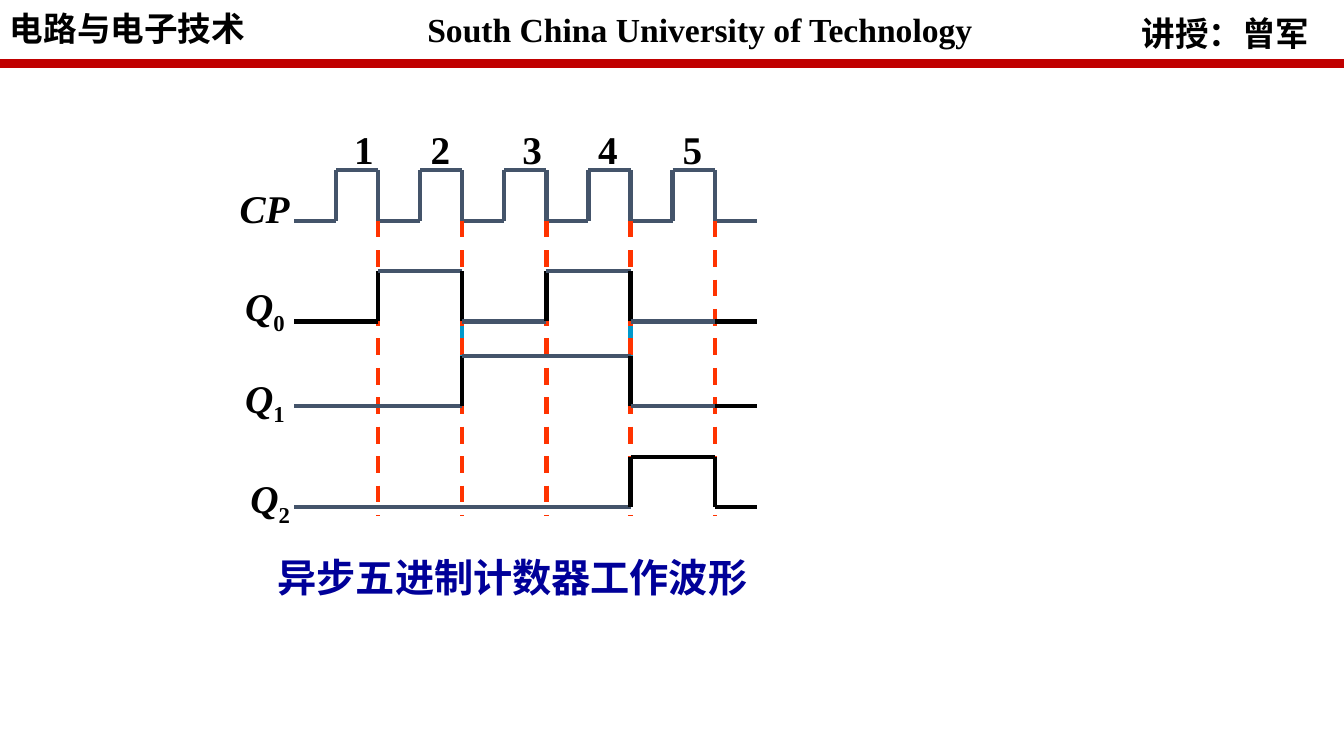
from dataclasses import dataclass

from lxml import etree
from pptx import Presentation
from pptx.dml.color import RGBColor
from pptx.enum import dml, shapes, text
from pptx.oxml import ns
from pptx.slide import Slide
from pptx.util import Cm, Pt

BLACK = RGBColor(0x00, 0x00, 0x00)
SLATE = RGBColor(0x44, 0x54, 0x6A)
CRIMSON = RGBColor(0xC0, 0x00, 0x00)
NAVY = RGBColor(0x00, 0x00, 0x99)
ORANGE = RGBColor(0xFF, 0x33, 0x00)
CYAN = RGBColor(0x00, 0x99, 0xCC)

SERIF = "Times New Roman"
SANS = "Calibri"
LEFT = text.PP_ALIGN.LEFT
CENTER = text.PP_ALIGN.CENTER
TOP = text.MSO_ANCHOR.TOP
MIDDLE = text.MSO_ANCHOR.MIDDLE

WAVE_LEFT = 7.41
HALF_PERIOD = 1.06
SWING = 1.27
CP_LOW, Q0_LOW, Q1_LOW, Q2_LOW = 5.56, 8.1, 10.24, 12.78


@dataclass(frozen=True)
class Run:
    content: str
    italic: bool = False
    subscript: bool = False


@dataclass(frozen=True)
class Label:
    left: float
    top: float
    width: float
    runs: tuple[Run, ...]
    height: float = 1.45
    size: int = 28
    font: str = SERIF
    color: RGBColor = BLACK
    align: text.PP_ALIGN = CENTER
    anchor: text.MSO_ANCHOR = MIDDLE
    wrap: bool = True


@dataclass(frozen=True)
class Level:
    end: int
    high: bool
    color: RGBColor


@dataclass(frozen=True)
class Signal:
    low: float
    edge_color: RGBColor
    levels: tuple[Level, ...]


@dataclass(frozen=True)
class Guide:
    step: int
    top: float
    bottom: float
    color: RGBColor


def header(left: float, top: float, width: float, content: str, font: str) -> Label:
    return Label(left, top, width, (Run(content),), 1.28, 24, font, align=LEFT, anchor=TOP)


def output_label(left: float, top: float, width: float, index: str) -> Label:
    return Label(left, top, width, (Run("Q", italic=True), Run(index, subscript=True)))


LABELS = (
    header(0, 0.08, 6.76, "电路与电子技术", SANS),
    header(10.52, 0.1, 14.68, "South China University of Technology", SERIF),
    header(28.52, 0.2, 5.23, "讲授：曾军", SANS),
    Label(5.51, 13.82, 14.81, (Run("异步五进制计数器工作波形"),), color=NAVY, anchor=TOP),
    Label(5.72, 4.52, 1.9, (Run("CP", italic=True),)),
    output_label(5.51, 7.06, 2.34, "0"),
    output_label(5.51, 9.37, 2.34, "1"),
    output_label(5.92, 11.91, 1.78, "2"),
)
PULSE_LEFTS = (8.66, 10.59, 12.9, 14.81, 16.94)
FALLING_EDGES = range(2, 11, 2)

CLOCK = Signal(CP_LOW, SLATE, tuple(Level(step, step % 2 == 0, SLATE) for step in range(1, 12)))
OUTPUTS = (
    Signal(Q0_LOW, BLACK, (
        Level(2, False, BLACK), Level(4, True, SLATE), Level(6, False, SLATE),
        Level(8, True, SLATE), Level(10, False, SLATE), Level(11, False, BLACK))),
    Signal(Q1_LOW, BLACK, (
        Level(4, False, SLATE), Level(8, True, SLATE),
        Level(10, False, SLATE), Level(11, False, BLACK))),
    Signal(Q2_LOW, BLACK, (
        Level(8, False, SLATE), Level(10, True, BLACK), Level(11, False, BLACK))),
)
GUIDES = (
    *(Guide(step, Q0_LOW, 10.01, CYAN) for step in (4, 8)),
    *(Guide(step, CP_LOW, 12.98, ORANGE) for step in FALLING_EDGES),
)


def step_x(step: int) -> float:
    return WAVE_LEFT + step * HALF_PERIOD


def add_label(slide: Slide, label: Label) -> None:
    shape = slide.shapes.add_textbox(
        Cm(label.left), Cm(label.top), Cm(label.width), Cm(label.height))
    frame = shape.text_frame
    frame.word_wrap = label.wrap
    frame.auto_size = text.MSO_AUTO_SIZE.SHAPE_TO_FIT_TEXT
    frame.vertical_anchor = label.anchor
    paragraph = frame.paragraphs[0]
    paragraph.alignment = label.align
    for part in label.runs:
        run = paragraph.add_run()
        run.text = part.content
        run.font.name = label.font
        run.font.size = Pt(label.size)
        run.font.bold = True
        run.font.italic = part.italic
        run.font.color.rgb = label.color
        if part.subscript:
            run.font._element.set("baseline", "-25000")


def add_line(slide: Slide, x1: float, y1: float, x2: float, y2: float,
             color: RGBColor, dashed: bool = False) -> None:
    connector = slide.shapes.add_connector(
        shapes.MSO_CONNECTOR.STRAIGHT, Cm(x1), Cm(y1), Cm(x2), Cm(y2))
    connector.line.color.rgb = color
    connector.line.width = Pt(3)
    if dashed:
        connector.line.dash_style = dml.MSO_LINE.DASH
    etree.SubElement(connector._element.spPr, ns.qn("a:effectLst"))


def add_signal(slide: Slide, signal: Signal) -> None:
    high_y = signal.low - SWING
    start = 0
    was_high = False
    for level in signal.levels:
        x = step_x(start)
        y = high_y if level.high else signal.low
        if level.high != was_high:
            add_line(slide, x, signal.low, x, high_y, signal.edge_color)
        add_line(slide, x, y, step_x(level.end), y, level.color)
        start, was_high = level.end, level.high


def add_header_bar(slide: Slide) -> None:
    shape = slide.shapes.add_shape(
        shapes.MSO_SHAPE.RECTANGLE, Cm(0), Cm(1.54), Cm(33.87), Cm(0.13))
    shape.shadow.inherit = False
    shape.fill.solid()
    shape.fill.fore_color.rgb = CRIMSON
    shape.line.color.rgb = CRIMSON
    shape.line.width = Pt(2.5)


def main() -> None:
    presentation = Presentation()
    presentation.slide_width = Cm(33.87)
    presentation.slide_height = Cm(19.05)
    slide = presentation.slides.add_slide(presentation.slide_layouts[6])
    add_header_bar(slide)
    for label in LABELS:
        add_label(slide, label)
    for number, left in enumerate(PULSE_LEFTS, start=1):
        add_label(slide, Label(left, 3.02, 1.02, (Run(str(number)),), wrap=False))
    add_signal(slide, CLOCK)
    for guide in GUIDES:
        x = step_x(guide.step)
        add_line(slide, x, guide.top, x, guide.bottom, guide.color, dashed=True)
    for signal in OUTPUTS:
        add_signal(slide, signal)
    presentation.save("out.pptx")


if __name__ == "__main__":
    main()
